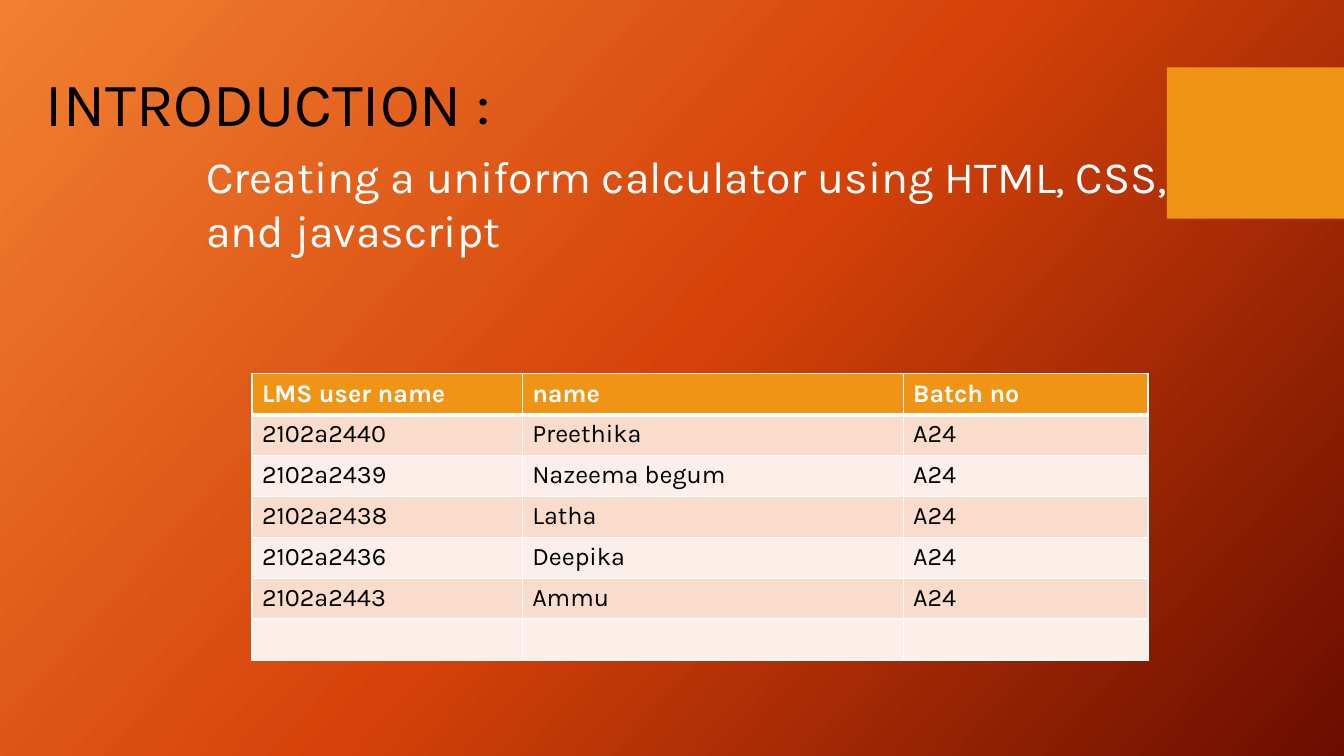
import copy

import pptx
import pptx.dml.color
import pptx.enum.shapes
import pptx.oxml
import pptx.oxml.ns
import pptx.util

Cm = pptx.util.Cm
Pt = pptx.util.Pt
RGBColor = pptx.dml.color.RGBColor

BLACK = RGBColor(0x00, 0x00, 0x00)
WHITE = RGBColor(0xFF, 0xFF, 0xFF)
AMBER = RGBColor(0xF0, 0x94, 0x15)
PEACH = RGBColor(0xF9, 0xDC, 0xCC)
PALE_PEACH = RGBColor(0xFC, 0xEE, 0xE8)
GLOW = [(0, RGBColor(0xF1, 0x80, 0x31)),
        (0.5, RGBColor(0xD5, 0x42, 0x09)),
        (1, RGBColor(0x6A, 0x0D, 0x00))]

HEADING = {"name": "Karla", "size": Pt(44), "color": BLACK}
TOPIC = {"name": "Karla", "size": Pt(32), "color": WHITE}
HEADER = {"name": "Karla", "size": Pt(18), "color": WHITE, "bold": True}
BODY = {"name": "Karla", "size": Pt(18), "color": BLACK, "bold": False}

MEMBERS = [
    ("LMS user name ", "name", "Batch no"),
    ("2102a2440", "Preethika", "A24"),
    ("2102a2439", "Nazeema begum", "A24"),
    ("2102a2438", "Latha", "A24"),
    ("2102a2436", "Deepika", "A24"),
    ("2102a2443", "Ammu", "A24"),
    ("", "", ""),
]
COLUMN_WIDTHS = [Cm(6.81), Cm(9.6), Cm(6.17)]
ROW_HEIGHT = Cm(1.03)


def format_font(font, style):
    for attribute, value in style.items():
        if attribute == "color":
            font.color.rgb = value
        else:
            setattr(font, attribute, value)


def paint_background(slide, stops, angle):
    fill = slide.background.fill
    fill.gradient()
    # python-pptx counts the angle anticlockwise
    fill.gradient_angle = 360 - angle
    stop_list = slide._element.xpath(".//p:bg//a:gsLst")[0]
    while len(stop_list) < len(stops):
        stop_list.append(copy.deepcopy(stop_list[-1]))
    for stop, (position, color) in zip(fill.gradient_stops, stops):
        stop.position = position
        stop.color.rgb = color


def add_block(slide, left, top, width, height, color):
    block = slide.shapes.add_shape(
        pptx.enum.shapes.MSO_SHAPE.RECTANGLE, left, top, width, height)
    block.shadow.inherit = False
    block.fill.solid()
    block.fill.fore_color.rgb = color
    block.line.fill.background()


def add_text(slide, left, top, width, height, text, style):
    frame = slide.shapes.add_textbox(left, top, width, height).text_frame
    frame.word_wrap = True
    run = frame.paragraphs[0].add_run()
    run.text = text
    format_font(run.font, style)


def set_borders(cell, widths, color):
    properties = cell._tc.get_or_add_tcPr()
    for index, (side, width) in enumerate(widths.items()):
        border = pptx.oxml.parse_xml(
            f'<a:{side} {pptx.oxml.ns.nsdecls("a")} w="{Pt(width)}">'
            f'<a:solidFill><a:srgbClr val="{color}"/></a:solidFill></a:{side}>')
        properties.insert(index, border)


def add_member_table(slide, left, top):
    table = slide.shapes.add_table(
        len(MEMBERS), len(COLUMN_WIDTHS), left, top,
        sum(COLUMN_WIDTHS), ROW_HEIGHT * len(MEMBERS)).table
    for column, width in zip(table.columns, COLUMN_WIDTHS):
        column.width = width
    for row_index, member in enumerate(MEMBERS):
        table.rows[row_index].height = ROW_HEIGHT
        is_header = row_index == 0
        band = AMBER if is_header else (PALE_PEACH, PEACH)[row_index % 2]
        # A heavier rule separates the header from the first member
        borders = {"lnL": 1, "lnR": 1,
                   "lnT": 3 if row_index == 1 else 1,
                   "lnB": 3 if is_header else 1}
        for column_index, text in enumerate(member):
            cell = table.cell(row_index, column_index)
            cell.text = text
            format_font(cell.text_frame.paragraphs[0].font,
                        HEADER if is_header else BODY)
            for run in cell.text_frame.paragraphs[0].runs:
                format_font(run.font, HEADER if is_header else BODY)
            cell.fill.solid()
            cell.fill.fore_color.rgb = band
            set_borders(cell, borders, WHITE)


def main():
    deck = pptx.Presentation()
    deck.slide_width, deck.slide_height = Cm(33.87), Cm(19.05)
    slide = deck.slides.add_slide(deck.slide_layouts[6])

    # Backdrop
    paint_background(slide, GLOW, 42)
    add_block(slide, Cm(29.41), Cm(1.7), Cm(4.46), Cm(3.81), AMBER)

    # Team members
    add_member_table(slide, Cm(6.35), Cm(9.42))

    # Heading and topic
    add_text(slide, Cm(0.91), Cm(1.5), Cm(13.69), Cm(2.13),
             "INTRODUCTION :", HEADING)
    add_text(slide, Cm(4.95), Cm(3.63), Cm(25.35), Cm(3),
             "Creating a uniform calculator using HTML, CSS, and javascript",
             TOPIC)

    deck.save("out.pptx")


main()
